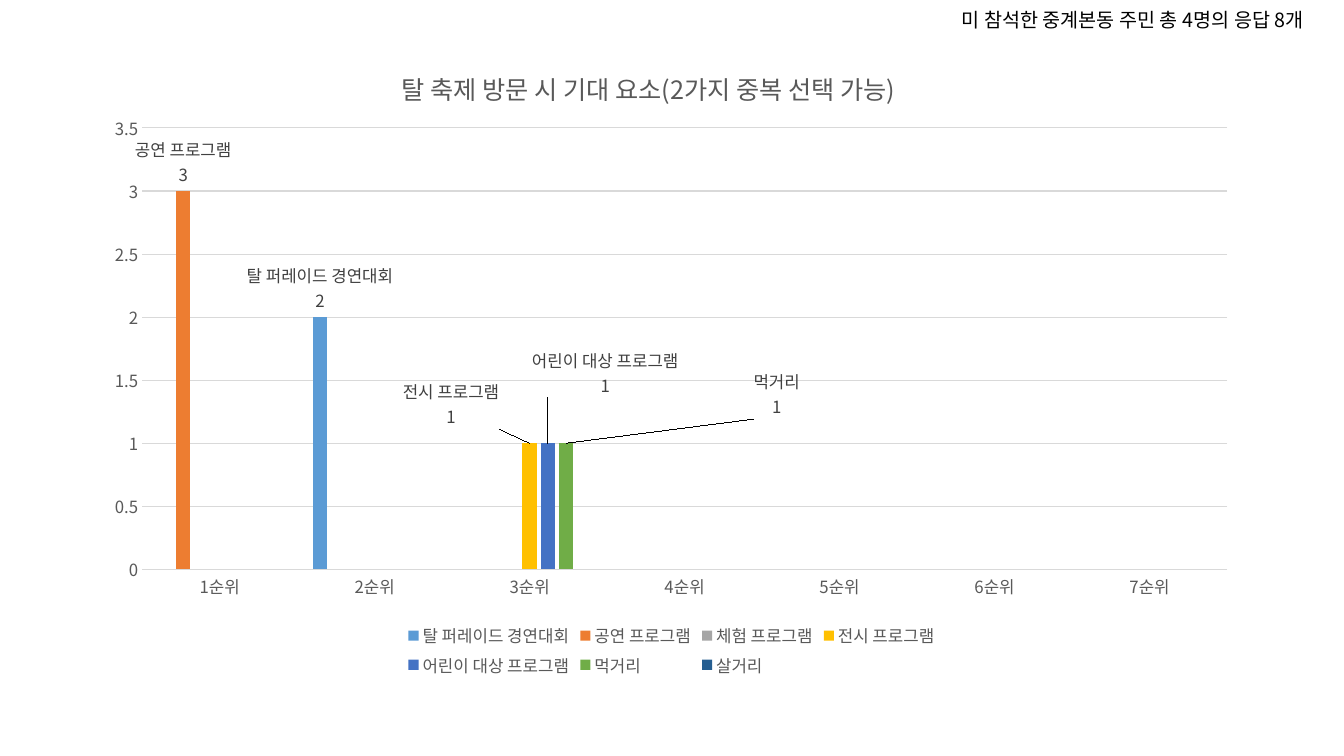
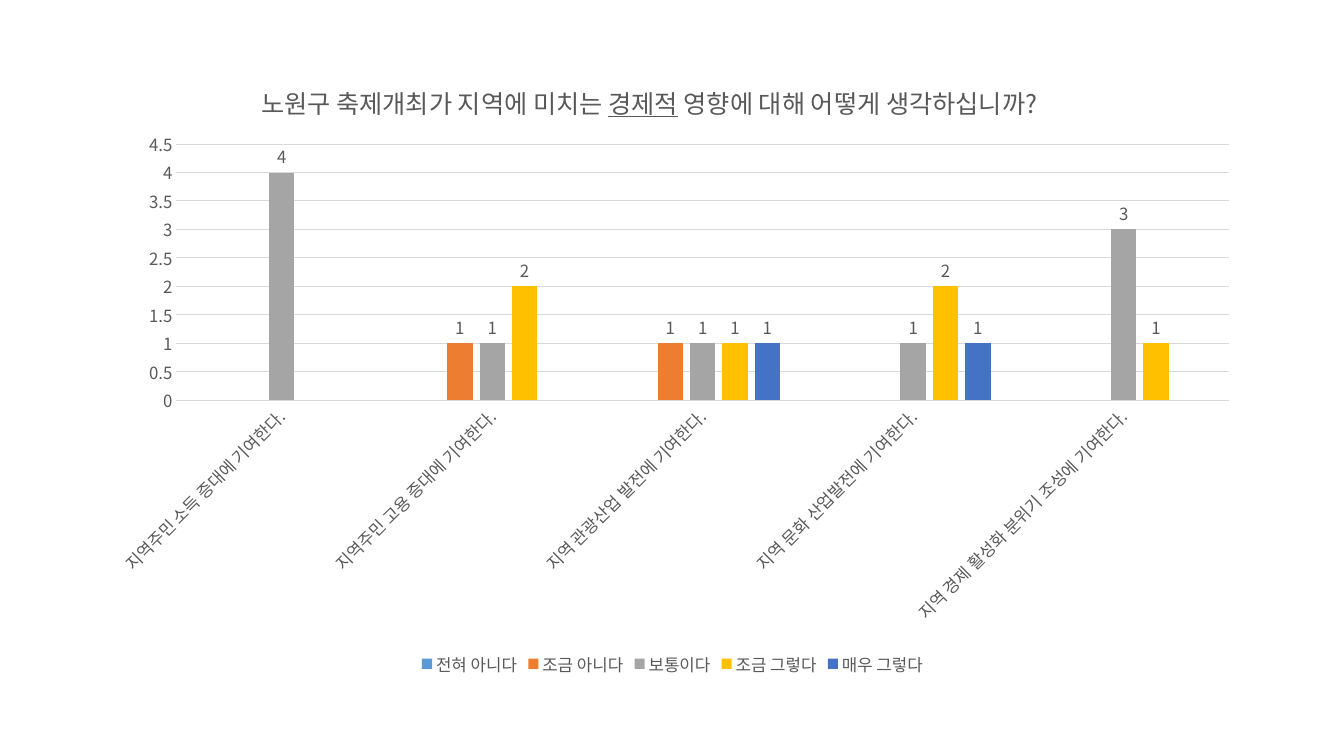
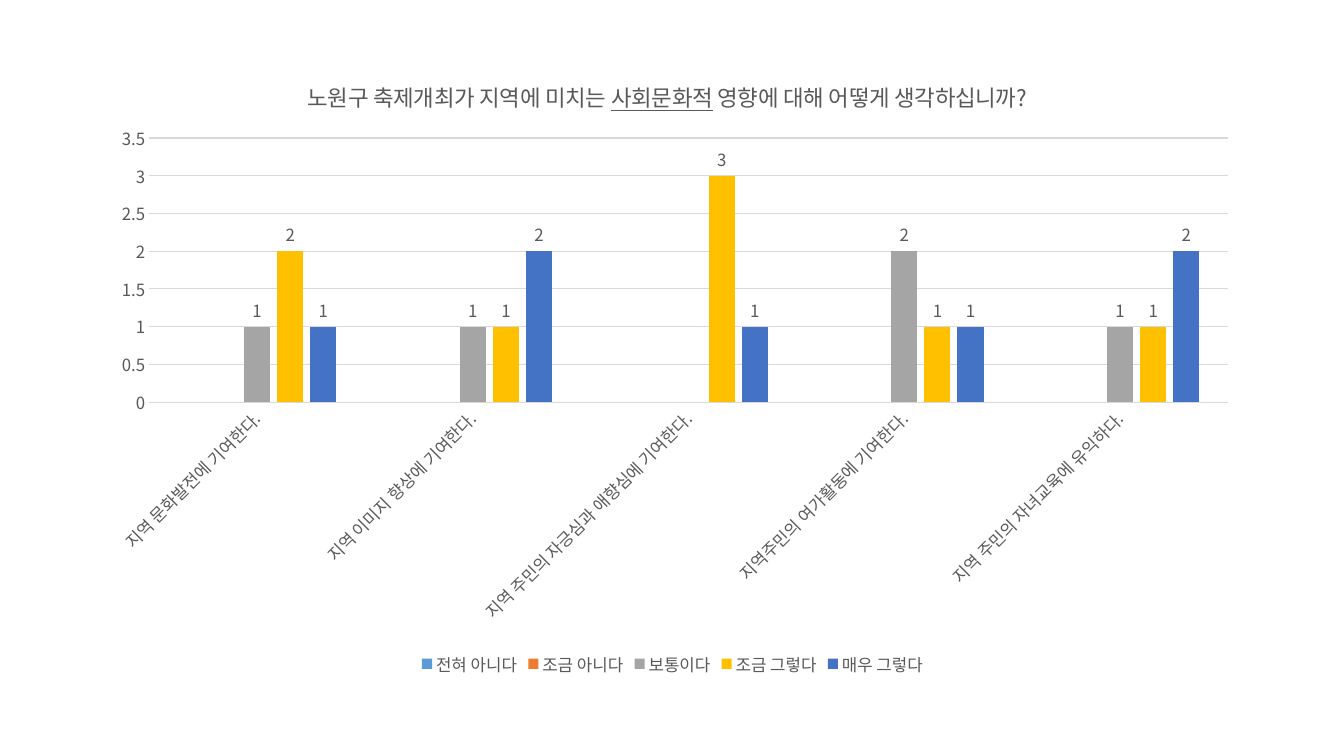
from dataclasses import dataclass, field

import lxml.etree
import pptx
import pptx.chart.chart
import pptx.chart.data
import pptx.chart.series
import pptx.dml.color
import pptx.enum.chart
import pptx.enum.text
import pptx.oxml.ns
import pptx.slide
import pptx.text.text
import pptx.util
from pptx.util import Inches

# Shared style
FONT = "Noto Sans CJK KR"
RGBColor = pptx.dml.color.RGBColor
BLACK = RGBColor(0x00, 0x00, 0x00)
DARK_GREY = RGBColor(0x40, 0x40, 0x40)
GREY = RGBColor(0x59, 0x59, 0x59)
GRID_GREY = RGBColor(0xD9, 0xD9, 0xD9)
SERIES_COLORS = [
    RGBColor(0x5B, 0x9B, 0xD5),
    RGBColor(0xED, 0x7D, 0x31),
    RGBColor(0xA5, 0xA5, 0xA5),
    RGBColor(0xFF, 0xC0, 0x00),
    RGBColor(0x44, 0x72, 0xC4),
    RGBColor(0x70, 0xAD, 0x47),
    RGBColor(0x25, 0x5E, 0x91),
]
LABEL_SIZE = 12
qn = pptx.oxml.ns.qn


@dataclass(frozen=True)
class Box:
    """A rectangle on the slide, in inches."""
    left: float
    top: float
    width: float
    height: float


@dataclass(frozen=True)
class LabelShift:
    """Moves one point's label, in inches, from its usual place."""
    series: str
    point: int
    right: float
    down: float


@dataclass(frozen=True)
class Survey:
    """One survey question; title is (before, underlined, after)."""
    title: tuple[str, str, str]
    title_at: tuple[float, float]
    frame: Box
    plot: Box
    categories: list[str]
    answers: dict[str, list[int | None]]
    axis_max: float
    title_size: int = 18
    slanted: bool = False
    named_labels: bool = False
    shifts: list[LabelShift] = field(default_factory=list)


# Text and XML helpers
def set_font(font: pptx.text.text.Font, size: float, color: RGBColor) -> None:
    font.size = pptx.util.Pt(size)
    font.bold = False
    font.color.rgb = color
    font.name = FONT
    east_asian = lxml.etree.Element(qn("a:ea"), typeface=FONT)
    font._rPr.find(qn("a:latin")).addnext(east_asian)


def write(paragraph, text: str, *, size: float, color: RGBColor,
          underline: bool = False) -> None:
    run = paragraph.add_run()
    run.text = text
    set_font(run.font, size, color)
    if underline:
        run.font.underline = True


def place_after(element, *, inner: bool = False, **fractions: float) -> None:
    """Put a manual layout behind an element; fractions are of the chart."""
    layout = lxml.etree.Element(qn("c:layout"))
    manual = lxml.etree.SubElement(layout, qn("c:manualLayout"))
    if inner:
        lxml.etree.SubElement(manual, qn("c:layoutTarget"), val="inner")
    if inner or "mode" in fractions:
        fractions.pop("mode", None)
        for axis in ("x", "y"):
            lxml.etree.SubElement(manual, qn(f"c:{axis}Mode"), val="edge")
    for key, value in fractions.items():
        lxml.etree.SubElement(manual, qn(f"c:{key}"), val=f"{value:.4f}")
    element.addnext(layout)


def drop_layout(parent) -> None:
    for layout in parent.findall(qn("c:layout")):
        parent.remove(layout)


def break_after_name(labels) -> None:
    """Show series name and value on separate lines."""
    separator = lxml.etree.Element(qn("c:separator"))
    separator.text = "\n"
    labels.find(qn("c:showBubbleSize")).addnext(separator)


# Chart parts
def add_title(chart: pptx.chart.chart.Chart, survey: Survey) -> None:
    frame = survey.frame
    paragraph = chart.chart_title.text_frame.paragraphs[0]
    for index, part in enumerate(survey.title):
        if part:
            write(paragraph, part, size=survey.title_size, color=GREY,
                  underline=index == 1)
    title = chart.chart_title._element
    drop_layout(title)
    left, top = survey.title_at
    place_after(title.find(qn("c:tx")), mode=1,
                x=(left - frame.left) / frame.width,
                y=(top - frame.top) / frame.height)


def place_plot(chart: pptx.chart.chart.Chart, survey: Survey) -> None:
    frame, plot = survey.frame, survey.plot
    area = chart._chartSpace.find(f".//{qn('c:plotArea')}")
    drop_layout(area)
    marker = lxml.etree.Element("marker")
    area.insert(0, marker)
    place_after(marker, inner=True,
                x=(plot.left - frame.left) / frame.width,
                y=(plot.top - frame.top) / frame.height,
                w=plot.width / frame.width, h=plot.height / frame.height)
    area.remove(marker)


def format_axes(chart: pptx.chart.chart.Chart, survey: Survey) -> None:
    category, value = chart.category_axis, chart.value_axis
    for axis in (category, value):
        axis.major_tick_mark = pptx.enum.chart.XL_TICK_MARK.NONE
        axis.minor_tick_mark = pptx.enum.chart.XL_TICK_MARK.NONE
        set_font(axis.tick_labels.font, LABEL_SIZE, GREY)
    value.minimum_scale, value.maximum_scale = 0, survey.axis_max
    value.major_unit = 0.5
    value.has_major_gridlines = True
    value.format.line.fill.background()
    for line in (category.format.line, value.major_gridlines.format.line):
        line.color.rgb = GRID_GREY
        line.width = pptx.util.Pt(0.75)
    if survey.slanted:
        body = category._element.find(f"{qn('c:txPr')}/{qn('a:bodyPr')}")
        body.set("rot", str(-45 * 60000))
        body.set("vert", "horz")


def format_series(series: pptx.chart.series.BarSeries, color: RGBColor,
                  survey: Survey) -> None:
    outside = pptx.enum.chart.XL_LABEL_POSITION.OUTSIDE_END
    label_color = DARK_GREY if survey.named_labels else GREY
    series.format.fill.solid()
    series.format.fill.fore_color.rgb = color
    series.invert_if_negative = False
    labels = series.data_labels
    labels.show_value = True
    labels.position = outside
    set_font(labels.font, LABEL_SIZE, label_color)
    if survey.named_labels:
        labels.show_series_name = True
        break_after_name(labels._element)
    for shift in survey.shifts:
        if shift.series != series.name:
            continue
        label = series.points[shift.point].data_label
        set_font(label.font, LABEL_SIZE, label_color)
        label.position = outside
        moved = labels._element.find(qn("c:dLbl"))
        moved.find(qn("c:showSerName")).set("val", "1")
        break_after_name(moved)
        place_after(moved.find(qn("c:idx")),
                    x=shift.right / survey.frame.width,
                    y=shift.down / survey.frame.height)


def add_survey(slide: pptx.slide.Slide, survey: Survey) -> None:
    data = pptx.chart.data.CategoryChartData()
    data.categories = survey.categories
    for answer, counts in survey.answers.items():
        data.add_series(answer, counts)
    frame = survey.frame
    chart = slide.shapes.add_chart(
        pptx.enum.chart.XL_CHART_TYPE.COLUMN_CLUSTERED,
        Inches(frame.left), Inches(frame.top),
        Inches(frame.width), Inches(frame.height), data).chart
    set_font(chart.font, 10, BLACK)
    add_title(chart, survey)
    place_plot(chart, survey)
    format_axes(chart, survey)
    columns = chart.plots[0]
    columns.gap_width, columns.overlap = 219, -27
    columns.vary_by_categories = False
    for series, color in zip(columns.series, SERIES_COLORS):
        format_series(series, color, survey)
    chart.has_legend = True
    chart.legend.position = pptx.enum.chart.XL_LEGEND_POSITION.BOTTOM
    chart.legend.include_in_layout = False
    set_font(chart.legend.font, LABEL_SIZE, GREY)


def add_note(slide: pptx.slide.Slide, box: Box, text: str) -> None:
    note = slide.shapes.add_textbox(Inches(box.left), Inches(box.top),
                                    Inches(box.width), Inches(box.height))
    note.text_frame.word_wrap = False
    note.text_frame.auto_size = pptx.enum.text.MSO_AUTO_SIZE.SHAPE_TO_FIT_TEXT
    write(note.text_frame.paragraphs[0], text, size=14, color=BLACK)


# Survey content
def top_choice(rank: int | None, votes: int = 0) -> list[int | None]:
    """Votes in the column of one rank out of seven."""
    return [votes if place == rank else None for place in range(1, 8)]


def agreement(*counts: list[int | None]) -> dict[str, list[int | None]]:
    scale = ["전혀 아니다", "조금 아니다", "보통이다", "조금 그렇다", "매우 그렇다"]
    return dict(zip(scale, counts))


NO_ANSWERS = [None] * 5
IMPACT_FRAME = Box(0.92, 0.53, 11.5, 6.22)
IMPACT_START = "노원구 축제개최가 지역에 미치는 "
IMPACT_END = " 영향에 대해 어떻게 생각하십니까?"

expectations = Survey(
    title=("탈 축제 방문 시 기대 요소(2가지 중복 선택 가능)", "", ""),
    title_at=(3.94, 0.62),
    frame=Box(0.91, 0.37, 11.5, 6.39),
    plot=Box(1.41, 1.27, 10.76, 4.38),
    categories=[f"{rank}순위" for rank in range(1, 8)],
    answers={
        "탈 퍼레이드 경연대회": top_choice(2, 2),
        "공연 프로그램": top_choice(1, 3),
        "체험 프로그램": top_choice(None),
        "전시 프로그램": top_choice(3, 1),
        "어린이 대상 프로그램": top_choice(3, 1),
        "먹거리": top_choice(3, 1),
        "살거리": top_choice(None),
    },
    axis_max=3.5,
    named_labels=True,
    shifts=[
        LabelShift("전시 프로그램", 2, -0.78, -0.10),
        LabelShift("어린이 대상 프로그램", 2, 0.57, -0.41),
        LabelShift("먹거리", 2, 2.09, -0.20),
    ],
)

economic_impact = Survey(
    title=(IMPACT_START, "경제적", IMPACT_END),
    title_at=(2.56, 0.78),
    frame=IMPACT_FRAME,
    plot=Box(1.75, 1.43, 10.44, 2.54),
    categories=[
        "지역주민 소득 증대에 기여한다.",
        "지역주민 고용 증대에 기여한다.",
        "지역 관광산업 발전에 기여한다.",
        "지역 문화 산업발전에 기여한다.",
        "지역 경제 활성화 분위기 조성에 기여한다.",
    ],
    answers=agreement(
        NO_ANSWERS,
        [None, 1, 1, None, None],
        [4, 1, 1, 1, 3],
        [None, 2, 1, 2, 1],
        [None, None, 1, 1, None],
    ),
    axis_max=4.5,
    slanted=True,
)

cultural_impact = Survey(
    title=(IMPACT_START, "사회문화적", IMPACT_END),
    title_at=(3.02, 0.76),
    title_size=16,
    frame=IMPACT_FRAME,
    plot=Box(1.48, 1.37, 10.7, 2.62),
    categories=[
        "지역 문화발전에 기여한다.",
        "지역 이미지 향상에 기여한다.",
        "지역 주민의 자긍심과 애향심에 기여한다.",
        "지역주민의 여가활동에 기여한다.",
        "지역 주민의 자녀교육에 유익하다.",
    ],
    answers=agreement(
        NO_ANSWERS,
        NO_ANSWERS,
        [1, 1, None, 2, 1],
        [2, 1, 3, 1, 1],
        [1, 2, 1, 1, 2],
    ),
    axis_max=3.5,
    slanted=True,
)

# Build the slides
deck = pptx.Presentation()
deck.slide_width, deck.slide_height = Inches(13.33), Inches(7.5)
blank_layout = deck.slide_layouts[6]
for question in (expectations, economic_impact, cultural_impact):
    add_survey(deck.slides.add_slide(blank_layout), question)
add_note(deck.slides[0], Box(9.44, 0.03, 4.11, 0.34),
         "미 참석한 중계본동 주민 총 4명의 응답 8개")
deck.save("out.pptx")
